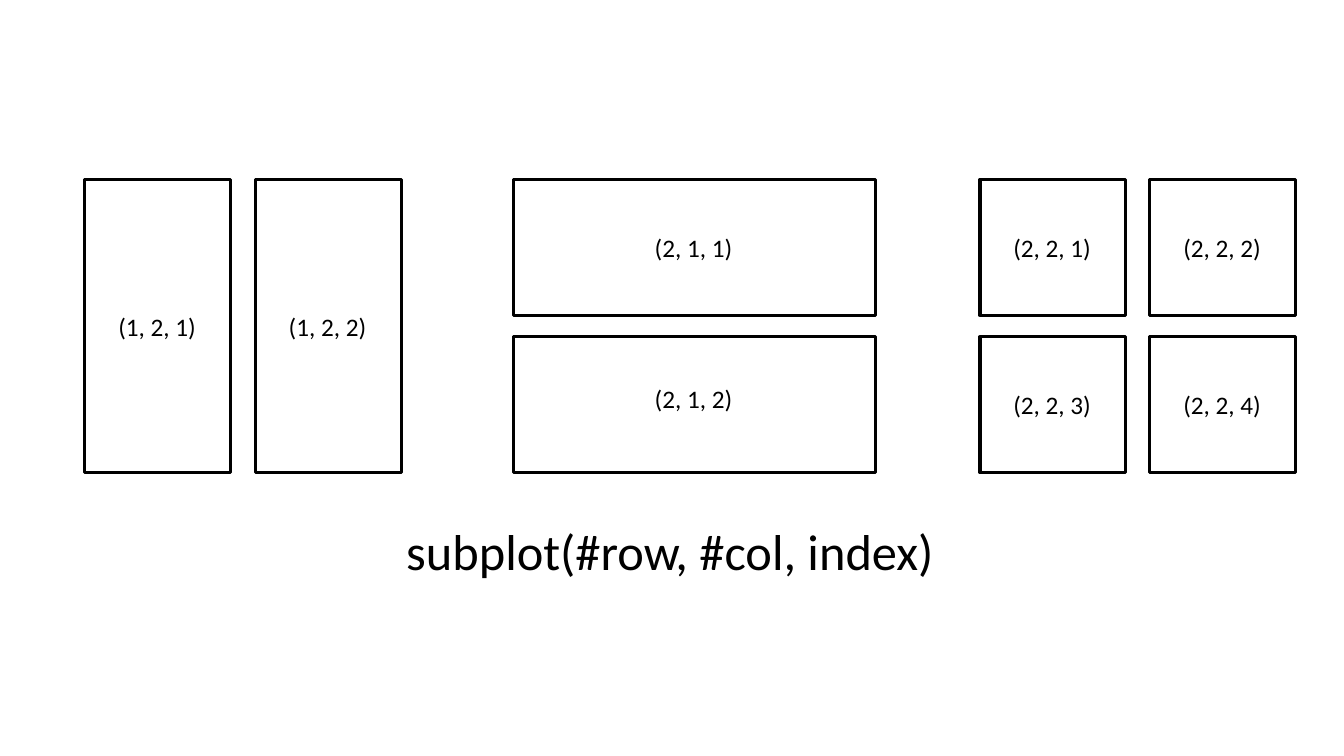
from pptx import Presentation
from pptx.dml.color import RGBColor
from pptx.enum.shapes import MSO_SHAPE
from pptx.enum.text import MSO_AUTO_SIZE
from pptx.util import Pt

RECTANGLE = MSO_SHAPE.RECTANGLE
GROW = MSO_AUTO_SIZE.SHAPE_TO_FIT_TEXT

EMU_PER_PX = 9144
BLANK_LAYOUT = 6
BLACK = "000000"
WHITE = "FFFFFF"

PANEL_TOP, PANEL_HEIGHT = 178, 291
COLUMN_GAP, ROW_GAP = 24, 21
LABEL_WIDTH, LABEL_HEIGHT = 98, 40

PANELS = [
    {"rows": 1, "columns": 2, "left": 84, "width": 314},
    {"rows": 2, "columns": 1, "left": 509, "width": 359},
    {"rows": 2, "columns": 2, "left": 972, "width": 313},
]
LABEL_RAISE = {(2, 1, 2): 6}


def px(*lengths):
    return [round(length * EMU_PER_PX) for length in lengths]


def color(value):
    return RGBColor.from_string(value)


def add_tile(page, left, top, width, height):
    tile = page.shapes.add_shape(RECTANGLE, *px(left, top, width, height))
    tile.shadow.inherit = False
    tile.fill.solid()
    tile.fill.fore_color.rgb = color(WHITE)
    tile.line.color.rgb = color(BLACK)
    tile.line.width = Pt(2.25)


def add_text(page, text, left, top, width, height, size):
    box = page.shapes.add_textbox(*px(left, top, width, height))
    frame = box.text_frame
    frame.word_wrap = False
    frame.auto_size = GROW
    span = frame.paragraphs[0].add_run()
    span.text = text
    span.font.color.rgb = color(BLACK)
    for name, value in {"name": "Calibri", "size": Pt(size)}.items():
        setattr(span.font, name, value)


def add_panel(page, rows, columns, left, width):
    tile_width = (width - COLUMN_GAP * (columns - 1)) / columns
    tile_height = (PANEL_HEIGHT - ROW_GAP * (rows - 1)) / rows
    for position in range(rows * columns):
        row, column = divmod(position, columns)
        tile_left = left + column * (tile_width + COLUMN_GAP)
        tile_top = PANEL_TOP + row * (tile_height + ROW_GAP)
        add_tile(page, tile_left, tile_top, tile_width, tile_height)

        arguments = (rows, columns, position + 1)
        label_left = tile_left + (tile_width - LABEL_WIDTH) / 2
        label_top = tile_top + (tile_height - LABEL_HEIGHT) / 2
        label_top -= LABEL_RAISE.get(arguments, 0)
        add_text(page, str(arguments), label_left, label_top,
                 LABEL_WIDTH, LABEL_HEIGHT, 18)


def main():
    deck = Presentation()
    deck.slide_width, deck.slide_height = px(1333, 750)
    page = deck.slides.add_slide(deck.slide_layouts[BLANK_LAYOUT])
    for panel in PANELS:
        add_panel(page, **panel)
    add_text(page, "subplot(#row, #col, index)", 393, 511, 548, 71, 36)
    deck.save("out.pptx")


if __name__ == "__main__":
    main()
